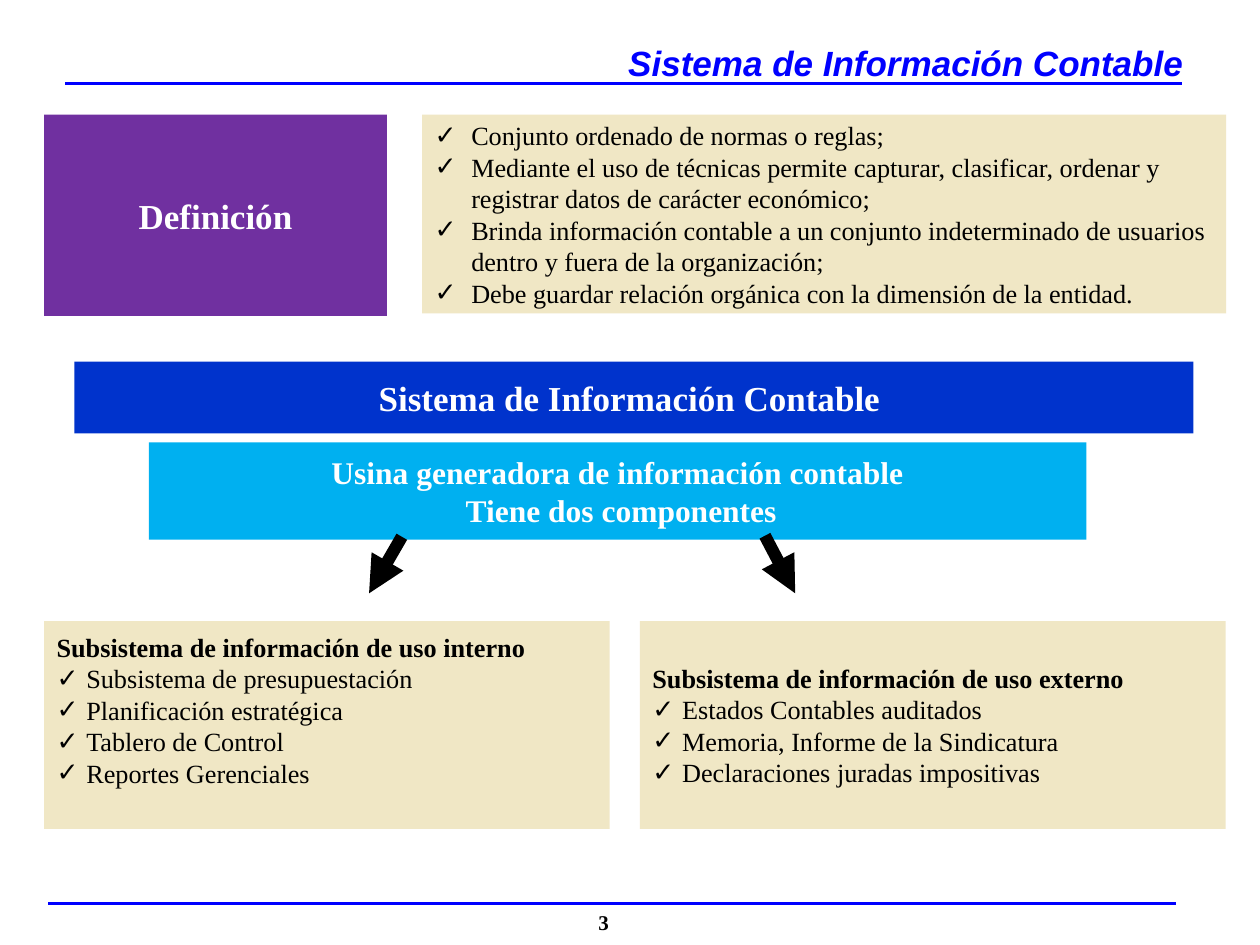
import pptx
import pptx.util
import pptx.dml.color
import pptx.enum.shapes
import pptx.enum.text
import pptx.oxml
import pptx.oxml.ns

Cm, Pt = pptx.util.Cm, pptx.util.Pt
RGB = pptx.dml.color.RGBColor.from_string
ALIGN = pptx.enum.text.PP_ALIGN
ANCHOR = pptx.enum.text.MSO_ANCHOR
qn = pptx.oxml.ns.qn

THEME = {
    "blue": RGB("0000FF"), "navy": RGB("0033CC"), "cyan": RGB("00B0F0"),
    "purple": RGB("7030A0"), "cream": RGB("F0E7C5"),
    "black": RGB("000000"), "white": RGB("FFFFFF"),
    "serif": "Times New Roman", "sans": "Arial",
    "heading": Pt(20), "subheading": Pt(18), "list": Pt(15), "number": Pt(12),
}


def write(s, lines, color, align, font, anchor=ANCHOR.MIDDLE, indent=0):
    """Fill s with (text, bulleted) lines, hanging the bullets by indent."""
    tf = s.text_frame
    frame = {"word_wrap": True, "auto_size": pptx.enum.text.MSO_AUTO_SIZE.NONE,
             "vertical_anchor": anchor, "margin_left": Cm(0.25), "margin_right": Cm(0.25),
             "margin_top": Cm(0.13), "margin_bottom": Cm(0.13)}
    for name, value in frame.items():
        setattr(tf, name, value)
    for i, (text, bulleted) in enumerate(lines):
        p = tf.paragraphs[0] if i == 0 else tf.add_paragraph()
        for name, value in {"alignment": align, "space_before": Pt(0),
                            "space_after": Pt(0), "line_spacing": 1.0}.items():
            setattr(p, name, value)
        r = p.add_run()
        r.text = text
        for name, value in {"bold": not bulleted, **font}.items():
            setattr(r.font, name, value)
        r.font.color.rgb = color
        pPr = p._p.get_or_add_pPr()
        hang = Cm(indent) if bulleted else 0
        pPr.set("marL", str(hang))
        pPr.set("indent", str(-hang))
        bullet = pptx.oxml.parse_xml(
            '<a:%s xmlns:a="http://schemas.openxmlformats.org/drawingml/2006/main"/>'
            % ("buChar" if bulleted else "buNone"))
        if bulleted:
            bullet.set("char", "✓")
        pPr.append(bullet)


def add_line(x1, y1, x2, y2, color, width):
    s = sld.shapes.add_connector(pptx.enum.shapes.MSO_CONNECTOR.STRAIGHT,
                                 Cm(x1), Cm(y1), Cm(x2), Cm(y2))
    s.line.color.rgb = color
    s.line.width = Pt(width)
    s._element.spPr.append(s._element.makeelement(qn("a:effectLst"), {}))
    return s


prs = pptx.Presentation()
prs.slide_width, prs.slide_height = Cm(25.4), Cm(19.05)
sld = prs.slides.add_slide(prs.slide_layouts.get_by_name("Comparison"))
holders = {sp.placeholder_format.idx: sp for sp in sld.placeholders}

# Header and footer
for x1, y, x2 in ((1.32, 1.68, 23.83), (0.97, 18.21, 23.7)):
    add_line(x1, y, x2, y, THEME["blue"], 2)

title = sld.shapes.title
title.left, title.top, title.width, title.height = Cm(11.71), Cm(0.71), Cm(12.4), Cm(1.09)
write(title, [("Sistema de Información Contable", False)], THEME["blue"], ALIGN.RIGHT,
      {"name": THEME["sans"], "size": THEME["heading"], "italic": True})

number = sld.shapes.add_textbox(Cm(0.84), Cm(18.21), Cm(22.66), Cm(0.76))
write(number, [("3", False)], THEME["black"], ALIGN.CENTER,
      {"name": THEME["serif"], "size": THEME["number"]}, ANCHOR.TOP)

# Coloured banners
banners = [
    ((0.89, 2.31, 6.91, 4.06), "purple", "heading", ["Definición"]),
    ((1.5, 7.29, 22.56, 1.45), "navy", "heading", ["Sistema de Información Contable "]),
    ((3, 8.92, 18.9, 1.96), "cyan", "subheading",
     ["Usina generadora de información contable", " Tiene dos componentes"]),
]
for box, fill, size, lines in banners:
    s = sld.shapes.add_shape(pptx.enum.shapes.MSO_SHAPE.RECTANGLE, *map(Cm, box))
    s.shadow.inherit = False
    s.fill.solid()
    s.fill.fore_color.rgb = THEME[fill]
    s.line.fill.background()
    write(s, [(text, False) for text in lines], THEME["white"], ALIGN.CENTER,
          {"name": THEME["serif"], "size": THEME[size]})

# Lists: placeholder, box, hanging indent, heading, items
lists = [
    (1, (8.51, 2.31, 16.21, 4.01), 0.74, None, [
        "Conjunto ordenado de normas o reglas;",
        "Mediante el uso de técnicas permite capturar, clasificar, ordenar y "
        "registrar datos de carácter económico;",
        "Brinda información contable a un conjunto indeterminado de usuarios "
        "dentro y fuera de la organización;",
        "Debe guardar relación orgánica con la dimensión de la entidad."]),
    (2, (0.89, 12.52, 11.4, 4.19), 0.6, "Subsistema de información de uso interno", [
        "Subsistema de presupuestación", "Planificación estratégica",
        "Tablero de Control", "Reportes Gerenciales"]),
    (4, (12.9, 12.52, 11.81, 4.19), 0.6, "Subsistema de información de uso externo", [
        "Estados Contables auditados", "Memoria, Informe de la Sindicatura",
        "Declaraciones juradas impositivas"]),
]
for idx, box, indent, heading, items in lists:
    s = holders[idx]
    s.left, s.top, s.width, s.height = map(Cm, box)
    s.fill.solid()
    s.fill.fore_color.rgb = THEME["cream"]
    lines = [(heading, False)] if heading else []
    write(s, lines + [(item, True) for item in items], THEME["black"], ALIGN.LEFT,
          {"name": THEME["serif"], "size": THEME["list"]}, indent=indent)
holders[2].text_frame.margin_bottom = Cm(0.74)  # lifts the longer list by half a line
holders[3]._element.getparent().remove(holders[3]._element)

# Arrows to the two subsystems
for x1, y1, x2, y2 in ((8.1, 10.82, 7.44, 11.96), (15.42, 10.8, 16.03, 11.96)):
    s = add_line(x1, y1, x2, y2, THEME["black"], 7)
    ln = s.line._get_or_add_ln()
    ln.append(ln.makeelement(qn("a:tailEnd"), {"type": "triangle"}))

prs.save("out.pptx")
